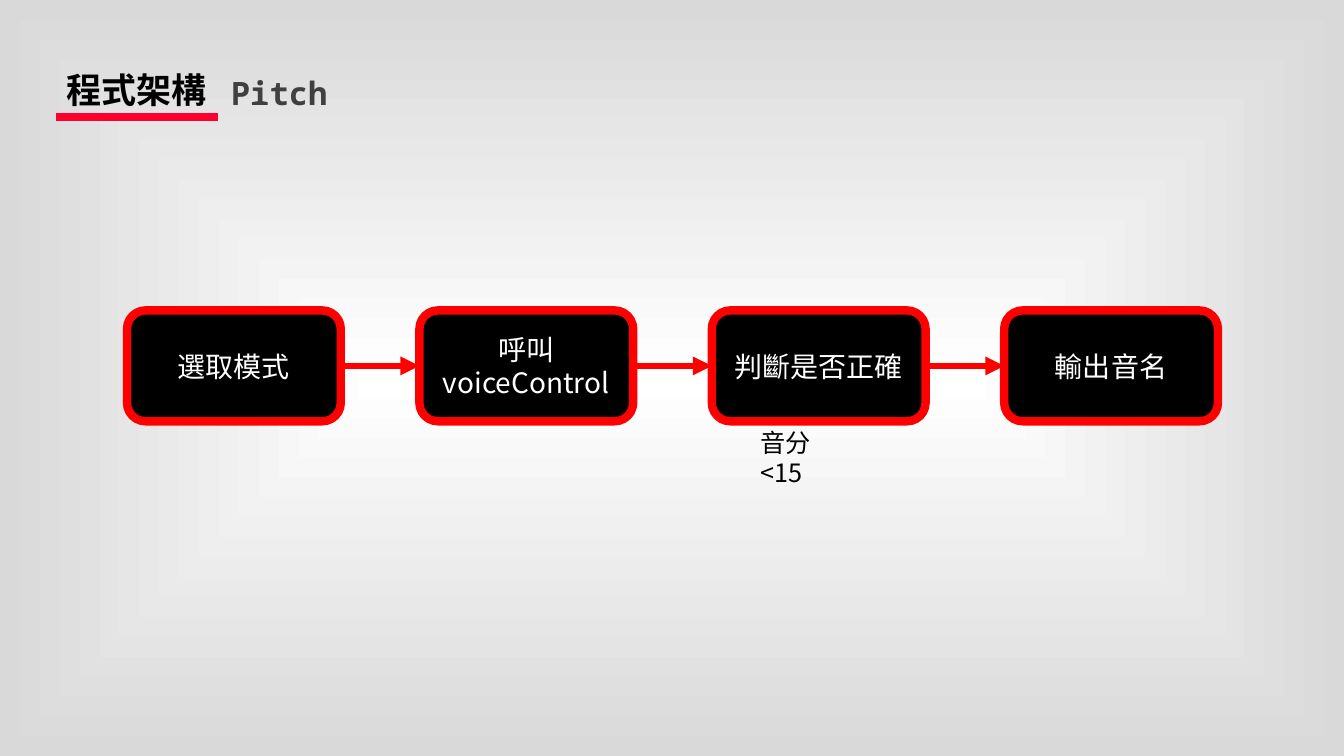
from dataclasses import dataclass

from lxml.etree import SubElement
from pptx import Presentation
from pptx.dml.color import RGBColor
from pptx.enum.shapes import MSO_CONNECTOR, MSO_SHAPE
from pptx.enum.text import MSO_ANCHOR, MSO_AUTO_SIZE, PP_ALIGN
from pptx.oxml.ns import qn
from pptx.util import Inches, Pt


@dataclass(frozen=True)
class Theme:
    black = RGBColor(0x00, 0x00, 0x00)
    white = RGBColor(0xFF, 0xFF, 0xFF)
    edge_gray = RGBColor(0xD9, 0xD9, 0xD9)
    dark_gray = RGBColor(0x40, 0x40, 0x40)
    red = RGBColor(0xFF, 0x00, 0x00)
    underline = RGBColor(0xFD, 0x00, 0x2D)
    sans = "Noto Sans CJK SC"
    mono = "Noto Sans Mono"
    title = Pt(25)
    subtitle = Pt(23)
    step = Pt(20)
    note = Pt(18)


theme = Theme()


def write(sp, text, size, color, font=theme.sans, bold=False,
          align=PP_ALIGN.LEFT, anchor=MSO_ANCHOR.TOP, wrap=True):
    tf = sp.text_frame
    tf.text = text
    tf.auto_size = MSO_AUTO_SIZE.NONE
    tf.word_wrap = wrap
    tf.vertical_anchor = anchor
    p = tf.paragraphs[0]
    p.alignment = align
    r = p.runs[0]
    r.font.size, r.font.bold, r.font.name = size, bold, font
    r.font.color.rgb = color
    SubElement(r.font._element, qn("a:ea"), typeface=font)
    return p


def add_line(shapes, x1, x2, y, color, width):
    line = shapes.add_connector(MSO_CONNECTOR.STRAIGHT, x1, y, x2, y)
    line.line.color.rgb = color
    line.line.width = width
    SubElement(line._element.spPr, qn("a:effectLst"))
    return line


prs = Presentation()
prs.slide_width, prs.slide_height = Inches(13.33), Inches(7.5)
s = prs.slides.add_slide(prs.slide_layouts[5])

# Background: light centre fading to gray edges
fill = s.background.fill
fill.gradient()
for stop, color in zip(fill.gradient_stops, (theme.white, theme.edge_gray)):
    stop.color.rgb = color
lin = s.element.find(".//" + qn("a:lin"))
grad = lin.getparent()
grad.remove(lin)
fade = SubElement(grad, qn("a:path"), path="shape")
SubElement(fade, qn("a:fillToRect"), l="50000", t="50000", r="50000", b="50000")

# Heading
title = s.shapes.title
title.left, title.top = Inches(0.56), Inches(0.63)
title.width, title.height = Inches(1.6), Inches(0.52)
write(title, "程式架構", theme.title, theme.black, bold=True, wrap=False)
add_line(s.shapes, Inches(0.56), Inches(2.16), Inches(1.16), theme.underline, Pt(6))
subtitle = s.shapes.add_textbox(Inches(2.16), Inches(0.67), Inches(1.22), Inches(0.49))
p = write(subtitle, "Pitch", theme.subtitle, theme.dark_gray, theme.mono,
          bold=True, align=PP_ALIGN.CENTER)
p.line_spacing = Pt(28)

# Flow of steps
left, top, width, height, pitch = 1.26, 3.08, 2.12, 1.1, 2.9
steps = []
for i, label in enumerate(("選取模式", "呼叫voiceControl", "判斷是否正確", "輸出音名")):
    step = s.shapes.add_shape(MSO_SHAPE.ROUNDED_RECTANGLE, Inches(left + i * pitch),
                              Inches(top), Inches(width), Inches(height))
    step.shadow.inherit = False
    step.fill.solid()
    step.fill.fore_color.rgb = theme.black
    step.line.color.rgb = theme.red
    step.line.width = Pt(6)
    write(step, label, theme.step, theme.white,
          align=PP_ALIGN.CENTER, anchor=MSO_ANCHOR.MIDDLE)
    steps.append(step)

for before, after in zip(steps, steps[1:]):
    arrow = add_line(s.shapes, before.left + before.width, after.left,
                     before.top + before.height // 2, theme.red, Pt(4.5))
    arrow.begin_connect(before, 3)
    arrow.end_connect(after, 1)
    SubElement(arrow.line._get_or_add_ln(), qn("a:tailEnd"), type="triangle")

note = s.shapes.add_textbox(Inches(7.44), Inches(4.19), Inches(1.05), Inches(0.4))
write(note, "音分<15", theme.note, theme.black)

prs.save("out.pptx")
